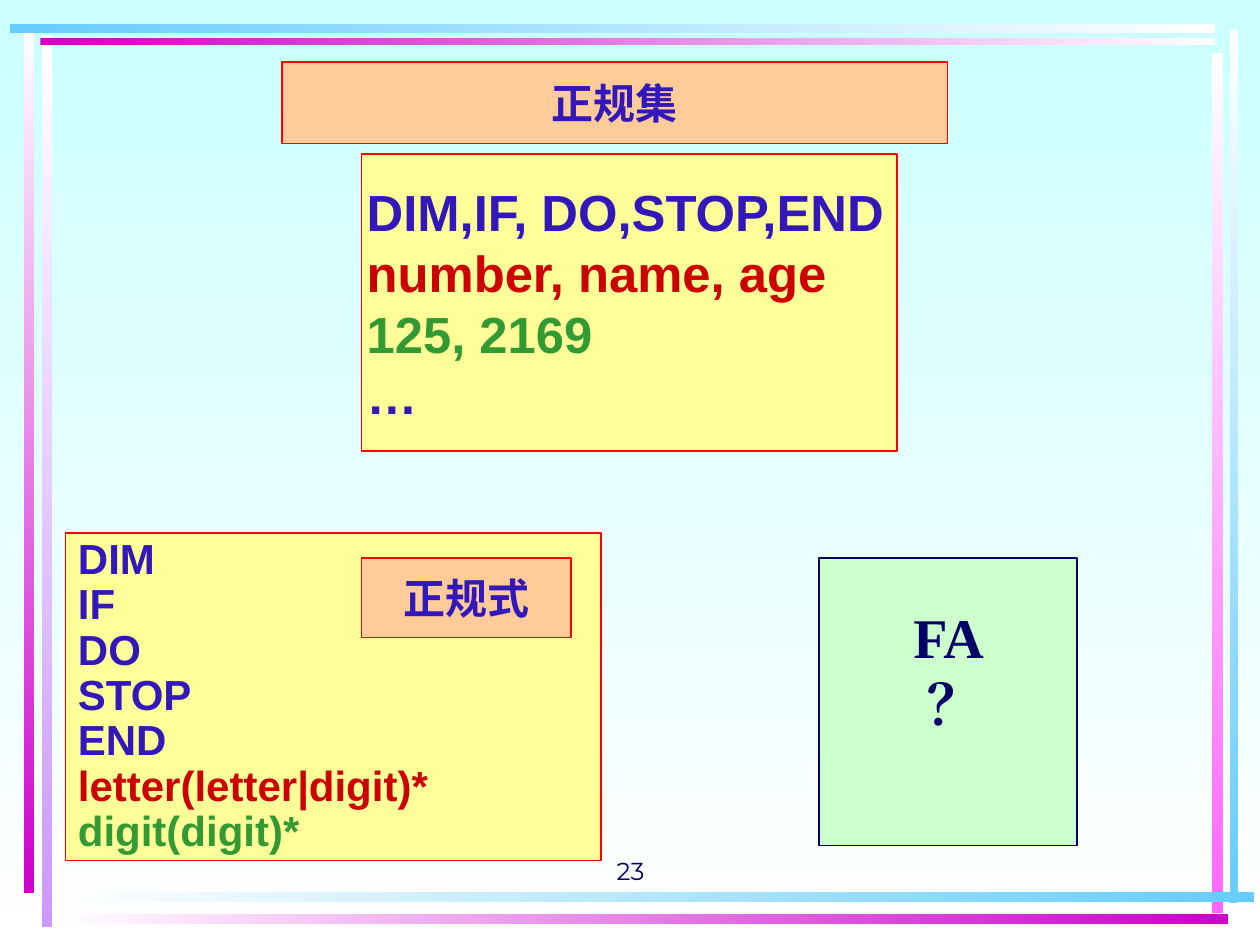
from dataclasses import dataclass
from typing import Optional

from lxml.etree import SubElement
from pptx import Presentation
from pptx.dml.color import RGBColor
from pptx.enum.shapes import MSO_SHAPE
from pptx.enum.text import MSO_ANCHOR, MSO_AUTO_SIZE, PP_ALIGN
from pptx.oxml.ns import qn
from pptx.util import Inches, Pt


@dataclass(frozen=True)
class Theme:
    """Colours, fonts and type sizes."""
    white: str = "FFFFFF"
    sky: str = "CCFFFF"
    blue: str = "66CCFF"
    plum: str = "CC00CC"
    lilac: str = "CC99FF"
    pink: str = "FF66FF"
    peach: str = "FFCC99"
    lemon: str = "FFFF99"
    mint: str = "CCFFCC"
    red: str = "FF0000"
    navy: str = "000066"
    ink: str = "3217BB"
    brick: str = "CC0000"
    leaf: str = "339933"
    sans: str = "Arial"
    serif: str = "Times New Roman"
    han: str = "Noto Sans CJK SC"
    page: str = "Montserrat"
    small: int = 14
    body: int = 24
    large: int = 29
    huge: int = 32


T = Theme()


@dataclass(frozen=True)
class Area:
    """A place on the slide in inches."""
    left: float
    top: float
    width: float
    height: float

    def emu(self) -> list:
        """Return the four lengths."""
        return [Inches(n) for n in (self.left, self.top, self.width, self.height)]


@dataclass(frozen=True)
class Bar:
    """A border bar that fades from one colour to another."""
    area: Area
    start: str
    end: str


@dataclass(frozen=True)
class Line:
    """A line of text with its colour and indent."""
    text: str
    color: str = T.ink
    indent: float = 0


@dataclass(frozen=True)
class Style:
    """How a block of text is set."""
    font: str
    size: int
    bold: bool = True
    align: Optional[PP_ALIGN] = None
    anchor: MSO_ANCHOR = MSO_ANCHOR.MIDDLE
    inset: float = 0.1
    lead: float = 1


HEAD = Style(T.han, T.body, align=PP_ALIGN.CENTER)
WORDS = Style(T.sans, T.large, align=PP_ALIGN.LEFT, inset=0.04)
RULES = Style(T.sans, T.body, align=PP_ALIGN.LEFT, lead=0.9)
MODEL = Style(T.serif, T.huge, align=PP_ALIGN.LEFT, anchor=MSO_ANCHOR.TOP)
PAGE = Style(T.page, T.small, False, PP_ALIGN.CENTER, MSO_ANCHOR.BOTTOM)

BARS = [
    Bar(Area(0.33, 0.28, 0.08, 7.08), T.white, T.lilac),
    Bar(Area(0.19, 0.25, 0.08, 6.84), T.white, T.plum),
    Bar(Area(9.76, 0.24, 0.07, 6.93), T.white, T.blue),
    Bar(Area(9.62, 0.42, 0.09, 6.83), T.white, T.pink),
    Bar(Area(0.45, 7.08, 9.5, 0.08), T.white, T.blue),
    Bar(Area(0.45, 7.25, 9.3, 0.08), T.white, T.plum),
    Bar(Area(0.32, 0.3, 9.32, 0.06), T.plum, T.white),
    Bar(Area(0.08, 0.19, 9.56, 0.07), T.blue, T.white),
]


def tone(code: str) -> RGBColor:
    """Turn a hex code into a colour."""
    return RGBColor.from_string(code)


def fade(fill, start: str, end: str, angle: int) -> None:
    """Fill with a two-colour gradient."""
    fill.gradient()
    fill.gradient_angle = angle
    for stop, code in zip(fill.gradient_stops, (start, end)):
        stop.color.rgb = tone(code)


def draw_bar(slide, bar: Bar) -> None:
    """Draw one border bar, fading along its length."""
    shape = slide.shapes.add_shape(MSO_SHAPE.RECTANGLE, *bar.area.emu())
    shape.shadow.inherit = False
    shape.line.fill.background()
    tall = bar.area.height > bar.area.width
    fade(shape.fill, bar.start, bar.end, 270 if tall else 0)


def paint(shape, fill: str, edge: str) -> None:
    """Set a plain fill and a thin edge."""
    shape.fill.solid()
    shape.fill.fore_color.rgb = tone(fill)
    shape.line.color.rgb = tone(edge)
    shape.line.width = Pt(1)


def draw_box(slide, area: Area, fill: str, edge: str):
    """Draw a filled box."""
    shape = slide.shapes.add_shape(MSO_SHAPE.RECTANGLE, *area.emu())
    shape.shadow.inherit = False
    paint(shape, fill, edge)
    return shape


def draw_note(slide, area: Area):
    """Add a text box."""
    return slide.shapes.add_textbox(*area.emu())


def write(shape, style: Style, *lines: Line) -> None:
    """Put styled lines into a shape."""
    frame = shape.text_frame
    frame.text = "\n".join(line.text for line in lines)
    frame.word_wrap = True
    frame.auto_size = MSO_AUTO_SIZE.NONE
    frame.vertical_anchor = style.anchor
    frame.margin_left = frame.margin_right = Inches(style.inset)
    frame.margin_top = frame.margin_bottom = Inches(0.05)
    for para, line in zip(frame.paragraphs, lines):
        para.alignment = style.align
        para.line_spacing = style.lead
        if line.indent:
            para._p.get_or_add_pPr().set("marL", str(Inches(line.indent)))
        for run in para.runs:
            run.font.size = Pt(style.size)
            run.font.bold = style.bold
            run.font.color.rgb = tone(line.color)
            run.font.name = style.font
            SubElement(run._r.get_or_add_rPr(), qn("a:ea"), typeface=style.font)


def main() -> None:
    """Build and save the slide."""
    deck = Presentation()
    deck.slide_width, deck.slide_height = Inches(10), Inches(7.5)
    slide = deck.slides.add_slide(deck.slide_layouts[5])
    fade(slide.background.fill, T.sky, T.white, 270)
    for bar in BARS:
        draw_bar(slide, bar)

    title = slide.shapes.title
    title.left, title.top, title.width, title.height = Area(2.24, 0.49, 5.28, 0.65).emu()
    paint(title, T.peach, T.red)
    write(title, HEAD, Line("正规集"))

    words = draw_box(slide, Area(2.87, 1.22, 4.25, 2.36), T.lemon, T.red)
    write(words, WORDS, Line("DIM,IF, DO,STOP,END"), Line("number, name, age", T.brick),
          Line("125, 2169", T.leaf), Line("…"))

    rules = draw_box(slide, Area(0.52, 4.23, 4.25, 2.6), T.lemon, T.red)
    keys = [Line(key) for key in ("DIM", "IF", "DO", "STOP", "END")]
    write(rules, RULES, *keys, Line("letter(letter|digit)*", T.brick),
          Line("digit(digit)*", T.leaf))
    label = draw_box(slide, Area(2.87, 4.43, 1.66, 0.63), T.peach, T.red)
    write(label, HEAD, Line("正规式"))

    draw_box(slide, Area(6.5, 4.43, 2.05, 2.28), T.mint, T.navy)
    model = draw_note(slide, Area(7.15, 4.73, 0.79, 1.7))
    write(model, MODEL, Line("FA", T.navy), Line("？", T.navy, 0.11))
    page = draw_note(slide, Area(3.42, 6.58, 3.17, 0.5))
    write(page, PAGE, Line("23", T.navy))
    deck.save("out.pptx")


if __name__ == "__main__":
    main()
